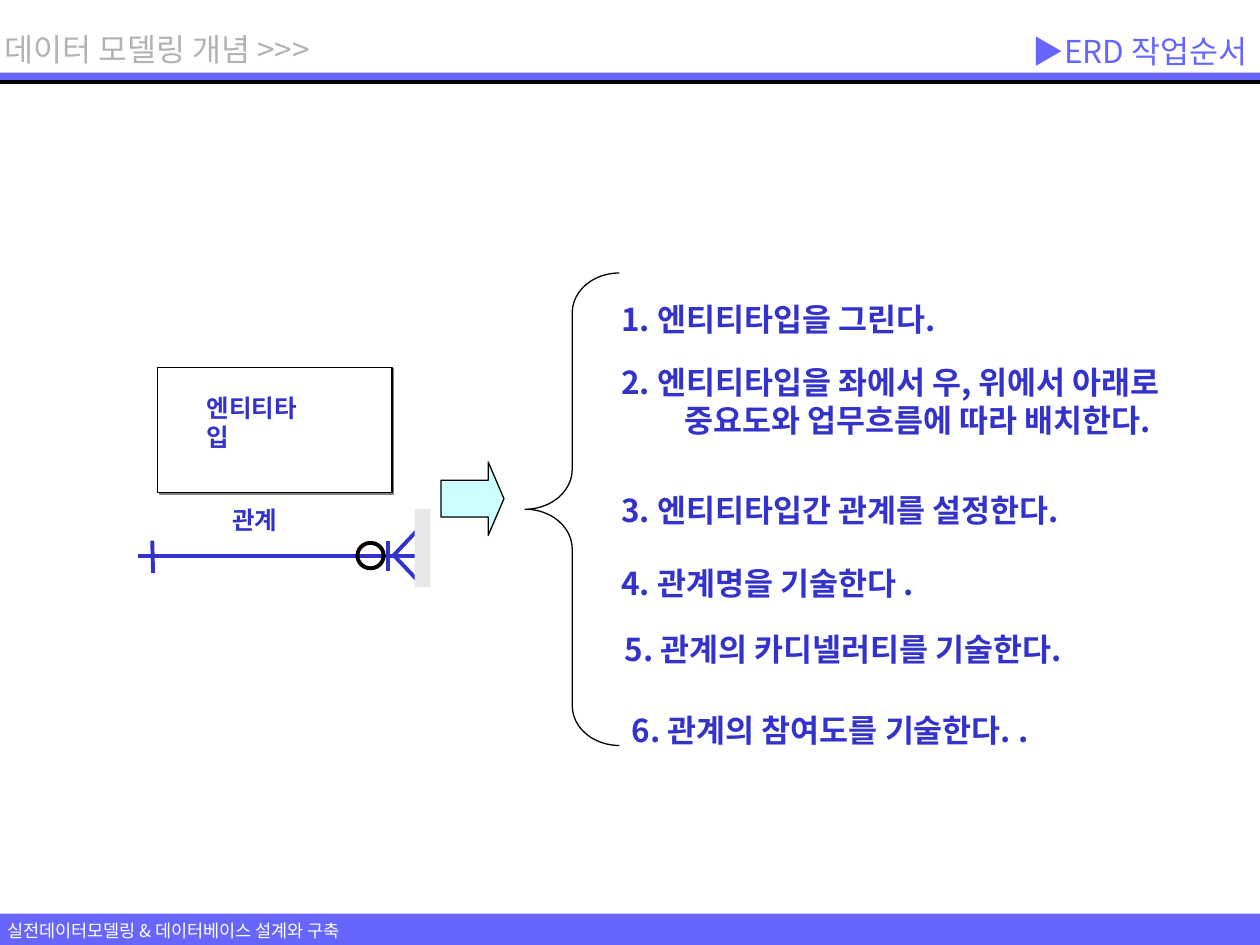
"""Build the slide on the working order of an ERD."""
from lxml import etree
from pptx import Presentation
from pptx.dml.color import RGBColor
from pptx.enum import shapes, text
from pptx.oxml import ns
from pptx.util import Pt

FONT = "Noto Sans CJK KR"
PERIWINKLE = RGBColor(0x66, 0x66, 0xFF)
BLUE = RGBColor(0x33, 0x33, 0xCC)
BLACK = RGBColor(0, 0, 0)
WHITE = RGBColor(0xFF, 0xFF, 0xFF)
SILVER = RGBColor(0xB2, 0xB2, 0xB2)
PALE_GRAY = RGBColor(0xE8, 0xE8, 0xE8)
PALE_CYAN = RGBColor(0xCC, 0xFF, 0xFF)
SHAPE = shapes.MSO_SHAPE
WIDTH, HEIGHT = 720, 540

STEPS = [
    ("1. 엔티티타입을 그린다.", 348, 168, 228),
    ("2. 엔티티타입을 좌에서 우, 위에서 아래로 중요도와 업무흐름에 따라 배치한다. ", 348, 204, 330),
    ("3. 엔티티타입간 관계를 설정한다.", 348, 277, 310),
    ("4. 관계명을 기술한다 .", 348, 319, 219),
    ("5. 관계의 카디넬러티를 기술한다.", 350, 356.5, 298),
    ("6. 관계의 참여도를 기술한다. .", 354, 403, 312),
]
LABELS = [
    ("엔티티타입", (111, 221, 78, 24.5)),
    ("관계", (125.5, 285, 40, 24.5)),
]
HEADER_RULES = [46.1, 46.9, 47.7]
RELATION_LINES = [
    ((240, 317.5), (79, 317.5)),
    ((87, 309), (87.5, 327.5)),
    ((221.5, 309), (221.5, 326.5)),
]

presentation = Presentation()
presentation.slide_width, presentation.slide_height = Pt(WIDTH), Pt(HEIGHT)
slide = presentation.slides.add_slide(presentation.slide_layouts[6])


def add_text(content, box, size=18, color=BLUE, bold=False, wrap=False,
             hanging=0, align=text.PP_ALIGN.LEFT, anchor=text.MSO_ANCHOR.TOP):
    frame = slide.shapes.add_textbox(*map(Pt, box)).text_frame
    frame.word_wrap, frame.vertical_anchor = wrap, anchor
    paragraph = frame.paragraphs[0]
    paragraph.alignment = align
    if hanging:
        properties = paragraph._p.get_or_add_pPr()
        properties.set("marL", str(Pt(hanging)))
        properties.set("indent", str(Pt(-hanging)))
    run = paragraph.add_run()
    run.text = content
    run.font.size, run.font.bold, run.font.name = Pt(size), bold, FONT
    run.font.color.rgb = color
    etree.SubElement(run._r.get_or_add_rPr(), ns.qn("a:ea"), typeface=FONT)


def add_shape(kind, box, fill=None, line=None, weight=0.75, adjustments=()):
    shape = slide.shapes.add_shape(kind, *map(Pt, box))
    shape.shadow.inherit = False
    if fill is None:
        shape.fill.background()
    else:
        shape.fill.solid()
        shape.fill.fore_color.rgb = fill
    if line is None:
        shape.line.fill.background()
    else:
        shape.line.color.rgb, shape.line.width = line, Pt(weight)
    for index, value in enumerate(adjustments):
        shape.adjustments[index] = value
    return shape


def add_line(start, end, color, weight):
    line = slide.shapes.add_connector(
        shapes.MSO_CONNECTOR.STRAIGHT, *map(Pt, (*start, *end)))
    line.line.color.rgb, line.line.width = color, Pt(weight)
    etree.SubElement(line._element.spPr, ns.qn("a:effectLst"))


def add_drop_shadow(shape, distance, color):
    effects = shape._element.spPr.find(ns.qn("a:effectLst"))
    shadow = etree.SubElement(effects, ns.qn("a:outerShdw"), blurRad="0",
                              dist=str(Pt(distance)), dir="2700000",
                              algn="ctr", rotWithShape="0")
    etree.SubElement(shadow, ns.qn("a:srgbClr"), val=color)


add_shape(SHAPE.RECTANGLE, (0, 522, WIDTH, 18), fill=PERIWINKLE)
add_shape(SHAPE.RECTANGLE, (0, 41.5, WIDTH, 4.5), fill=PERIWINKLE)
for y in HEADER_RULES:
    add_line((0, y), (WIDTH, y), BLACK, 0.75)
add_text("실전데이터모델링 & 데이터베이스 설계와 구축", (-3, 522, 226, 19.5),
         size=10, color=WHITE)
add_text("데이터 모델링 개념 >>>", (-4.5, 13.5, 204.5, 29), color=SILVER)
add_text("▶ERD 작업순서", (360, 13.5, 360, 31), color=PERIWINKLE,
         align=text.PP_ALIGN.RIGHT, anchor=text.MSO_ANCHOR.MIDDLE)

entity = add_shape(SHAPE.RECTANGLE, (90, 210, 134, 71.5), fill=WHITE, line=BLACK)
add_drop_shadow(entity, 1.4, "808080")

for start, end in RELATION_LINES:
    add_line(start, end, BLUE, 2.25)
add_shape(SHAPE.OVAL, (204.25, 310.25, 15, 14.5), line=BLACK, weight=2.25)
crow_foot = add_shape(SHAPE.ISOSCELES_TRIANGLE, (217.5, 310.5, 28.5, 13.5),
                      line=BLUE, weight=2.25)
crow_foot.rotation = 270
add_shape(SHAPE.RECTANGLE, (237, 291, 9, 44.5), fill=PALE_GRAY)
for content, box in LABELS:
    add_text(content, box, size=14, bold=True)

add_shape(SHAPE.RIGHT_ARROW, (252, 264, 36, 42), fill=PALE_CYAN, line=BLACK,
          adjustments=(0.5, 0.25))
add_shape(SHAPE.LEFT_BRACE, (300, 156, 54, 270), line=BLACK,
          adjustments=(0.42, 0.5))
for content, left, top, width in STEPS:
    add_text(content, (left, top, width, 29), bold=True, wrap=True, hanging=36)

presentation.save("out.pptx")
